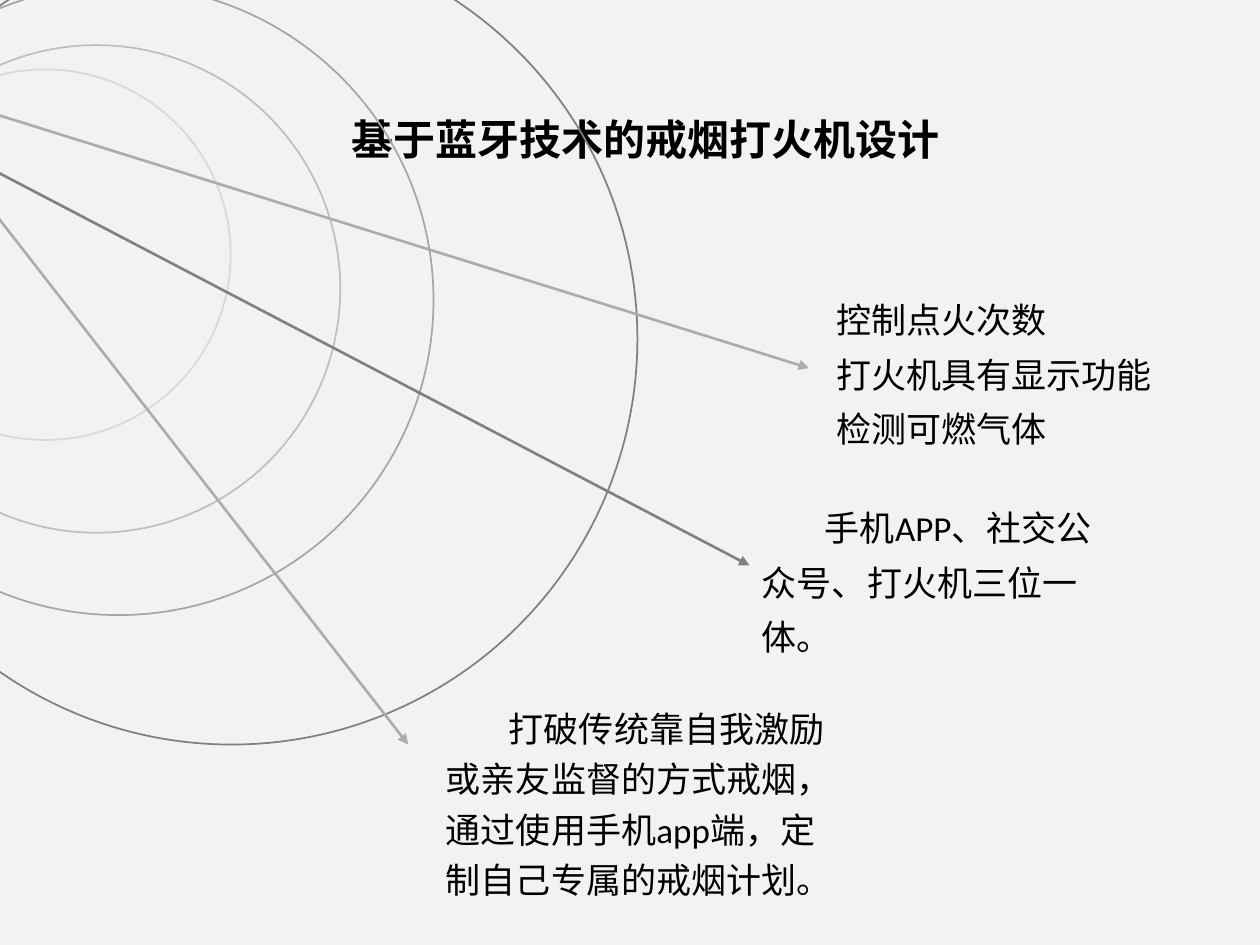
import pptx
import pptx.util
import pptx.dml.color
import pptx.enum.shapes
import pptx.enum.text
import pptx.oxml.ns
from lxml import etree
from pptx.util import Cm

RGBColor = pptx.dml.color.RGBColor
BACKGROUND = RGBColor(0xF2, 0xF2, 0xF2)
BLACK = RGBColor(0, 0, 0)
PALE = RGBColor(0xD9, 0xD9, 0xD9)
LIGHT = RGBColor(0xBF, 0xBF, 0xBF)
MEDIUM = RGBColor(0xA6, 0xA6, 0xA6)
DARK = RGBColor(0x80, 0x80, 0x80)
WARM = RGBColor(0xAF, 0xAB, 0xAB)

CHINESE_FONT = "Noto Sans CJK SC"
LATIN_FONT = "Calibri"


def add_xml(parent, tag, **attributes):
    return etree.SubElement(parent, pptx.oxml.ns.qn(tag), **attributes)


def draw_rings(page, box):
    left, top = box
    # Offset from the box corner, diameter and colour, innermost ring first
    rings = [
        (1.14, 2.75, 7.47, PALE),
        (0.99, 2.26, 9.83, LIGHT),
        (0, 1.05, 12.7, MEDIUM),
        (0.45, 0, 16.36, DARK),
    ]
    for x, y, size, color in rings:
        ring = page.shapes.add_shape(
            pptx.enum.shapes.MSO_SHAPE.OVAL,
            Cm(left + x), Cm(top + y), Cm(size), Cm(size))
        ring.shadow.inherit = False
        ring.fill.background()
        ring.line.color.rgb = color
        ring.line.width = pptx.util.Pt(1)


def draw_arrows(page, box):
    left, top = box
    # Start height, end point and colour, relative to the box corner
    arrows = [
        (0, 16.44, 5.13, WARM),
        (1.14, 15.24, 9.11, DARK),
        (1.98, 8.36, 12.72, WARM),
    ]
    for start_y, end_x, end_y, color in arrows:
        arrow = page.shapes.add_connector(
            pptx.enum.shapes.MSO_CONNECTOR.STRAIGHT,
            Cm(left), Cm(top + start_y), Cm(left + end_x), Cm(top + end_y))
        arrow.line.color.rgb = color
        arrow.line.width = pptx.util.Pt(1.5)
        add_xml(arrow.line._get_or_add_ln(), "a:tailEnd", type="triangle")
        add_xml(arrow._element.spPr, "a:effectLst")


def fill_text(shape, box, text, spacing, size=20, font=LATIN_FONT,
              bold=False, indent=0, align=pptx.enum.text.PP_ALIGN.LEFT):
    shape.left, shape.top, shape.width, shape.height = map(Cm, box)
    frame = shape.text_frame
    frame.text = text
    frame.word_wrap = True
    frame.auto_size = pptx.enum.text.MSO_AUTO_SIZE.SHAPE_TO_FIT_TEXT
    frame.vertical_anchor = pptx.enum.text.MSO_ANCHOR.TOP
    for para in frame.paragraphs:
        para.alignment = align
        para.line_spacing = spacing
        para.space_before = pptx.util.Pt(0)
        properties = para._p.get_or_add_pPr()
        properties.set("marL", "0")
        properties.set("indent", str(Cm(indent)))
        add_xml(properties, "a:buNone")
        for span in para.runs:
            span.font.size = pptx.util.Pt(size)
            span.font.bold = bold
            span.font.color.rgb = BLACK
            span.font.name = font
            add_xml(span._r.get_or_add_rPr(), "a:ea", typeface=CHINESE_FONT)


def write_title(page, box):
    fill_text(page.shapes.title, box, "基于蓝牙技术的戒烟打火机设计", 1.5,
              size=24, font=CHINESE_FONT, bold=True,
              align=pptx.enum.text.PP_ALIGN.CENTER)


def write_features(page, box):
    features = ["控制点火次数", "打火机具有显示功能", "检测可燃气体"]
    fill_text(page.placeholders[1], box, "\n".join(features), 1.3)


def write_note(page, box, text, spacing):
    note = page.shapes.add_textbox(*map(Cm, box))
    fill_text(note, box, text, spacing, indent=1.27)


def main():
    deck = pptx.Presentation()
    deck.slide_width, deck.slide_height = Cm(25.4), Cm(19.05)
    page = deck.slides.add_slide(deck.slide_layouts[1])
    page.background.fill.solid()
    page.background.fill.fore_color.rgb = BACKGROUND

    # Decoration
    draw_rings(page, (-3.96, -1.35))
    draw_arrows(page, (-0.13, 2.29))

    # Title and the text at each arrowhead
    write_title(page, (6.63, 1.65, 12.75, 1.78))
    write_features(page, (16.61, 5.64, 7.04, 3.56))
    write_note(page, (15.11, 9.83, 7.19, 3.56),
               "手机APP、社交公众号、打火机三位一体。", 1.3)
    write_note(page, (8.74, 13.97, 8.36, 4.32),
               "打破传统靠自我激励或亲友监督的方式戒烟，"
               "通过使用手机app端，定制自己专属的戒烟计划。", 1.2)

    deck.save("out.pptx")


if __name__ == "__main__":
    main()
